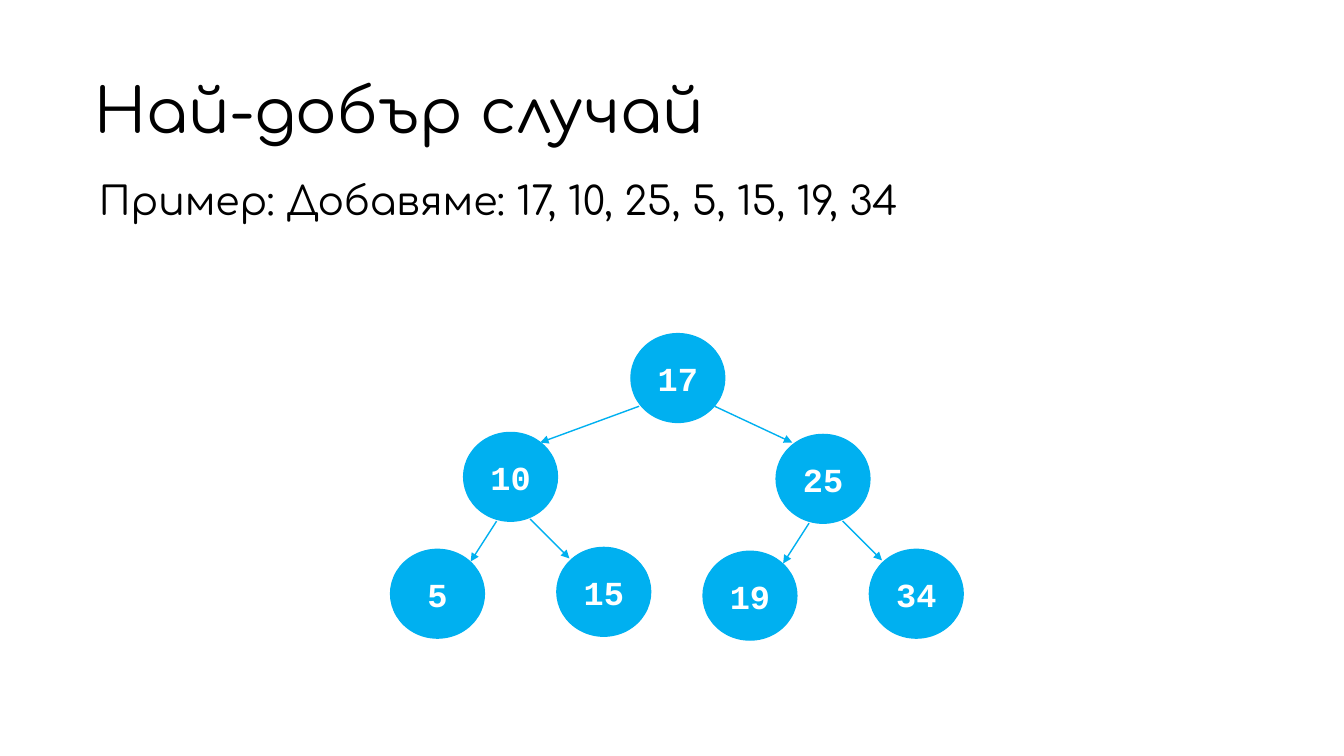
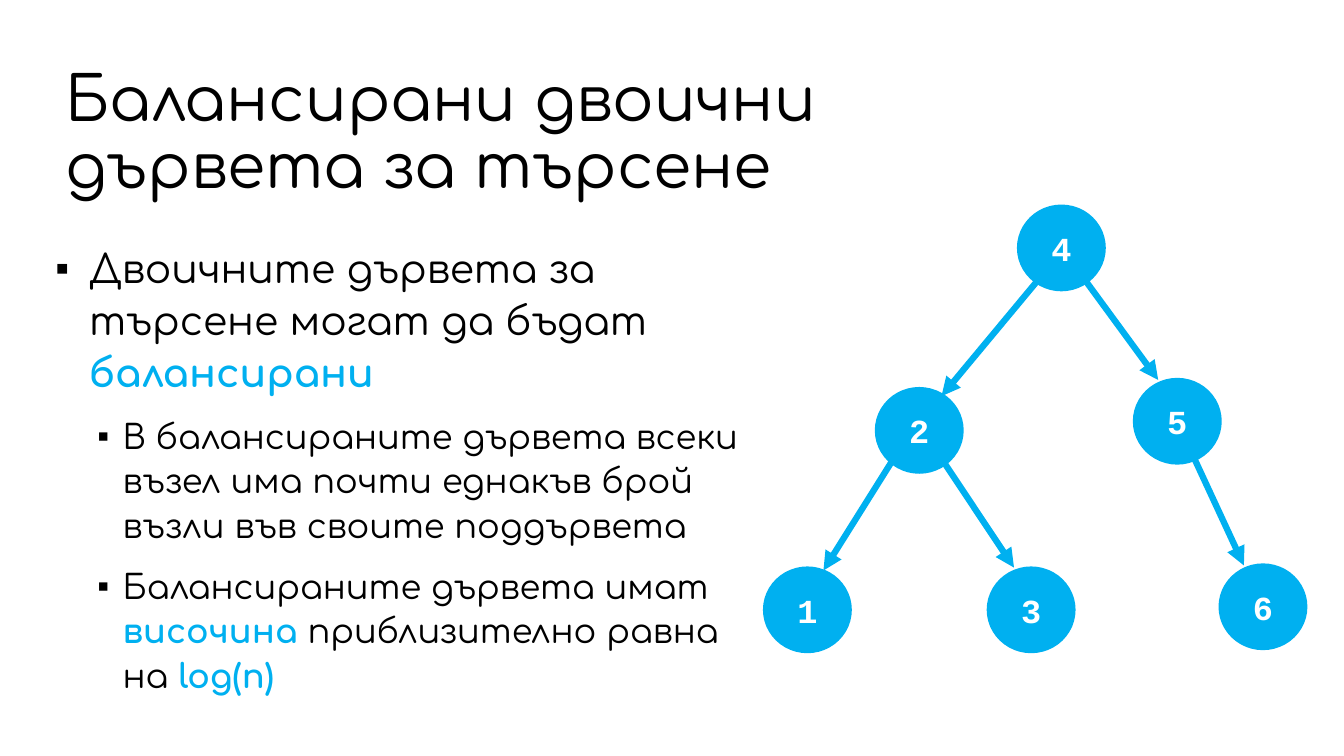
"""Build two slides on binary search trees."""
from lxml.etree import SubElement
from pptx import Presentation
from pptx.dml.color import RGBColor
from pptx.enum.shapes import MSO_CONNECTOR, MSO_SHAPE
from pptx.enum.text import MSO_ANCHOR, PP_ALIGN
from pptx.oxml.ns import qn
from pptx.util import Pt

BLUE, BLACK, WHITE = "00B0F0", "000000", "FFFFFF"
SANS, MONO = "Comfortaa", "Courier New"
HEAD = dict(name=SANS, size=Pt(44), bold=False)
BODY = dict(name=SANS, size=Pt(28), bold=False)
SUB = dict(BODY, size=Pt(24))
NODE = dict(name=MONO, size=Pt(24), bold=True)
TEXT_PAD = dict(margin_left=Pt(8.64), margin_right=Pt(8.64),
                margin_top=Pt(2.88), margin_bottom=Pt(2.88), word_wrap=True)
NODE_PAD = dict(margin_left=Pt(7.2), margin_right=Pt(7.2),
                margin_top=Pt(3.6), margin_bottom=Pt(3.6), word_wrap=True,
                vertical_anchor=MSO_ANCHOR.MIDDLE)

CASE = dict(
    title="Най-добър случай", place=(59, 37.5, 790.5, 87),
    body=(62, 121, 785, 67.5), lead=1.05,
    paras=[(None, BODY, [("Пример: Добавяме: 17, 10, 25, 5, 15, 19, 34", False)])])
BALANCE = dict(
    title="Балансирани двоични дървета за търсене", place=(38, 6.5, 705.5, 180),
    body=(31, 168.5, 512, 331), lead=1.1,
    paras=[
        ((0, 24, 24), BODY, [("Двоичните дървета за търсене могат да бъдат ", False),
                             ("балансирани", True)]),
        ((1, 48, 18), SUB, [("В балансираните дървета всеки възел има почти "
                             "еднакъв брой възли във своите поддървета", False)]),
        ((1, 48, 18), SUB, [("Балансираните дървета имат ", False), ("височина", True),
                            (" приблизително равна на ", False), ("log(n)", True)])])

ROOT = ("17", 450.7, 238.3)
ROOT_LINKS = [(456.5, 290.2, 385.9, 316.1), (510.5, 290.2, 565.9, 316.1)]
FAMILIES = [(331.2, 308.9, ("10", "5", "15")), (554.4, 310.3, ("25", "19", "34"))]
KIN = [(0, 0), (-52.2, 83.5), (66.6, 82.1)]
KIN_LINKS = [(23.5, 63.4, 5, 92.2), (47.5, 61.9, 75.6, 90)]

NODES = [("4", 727.9, 147.6), ("2", 626.4, 277.9), ("5", 810.7, 271.4),
         ("1", 546.5, 406.1), ("3", 706.3, 406.1), ("6", 871.9, 403.9)]
LINKS = [(740.2, 201.6, 672.5, 283), (776.2, 201.6, 827.3, 271.4),
         (636.5, 330.5, 588.2, 407.5), (675.4, 331.9, 724.3, 405.4),
         (852.5, 326.2, 888.5, 403.9)]


def points(vals):
    """Turn numbers into point lengths."""
    return [Pt(val) for val in vals]


def paint(fmt, tint):
    """Give a fill a solid colour."""
    fmt.solid()
    fmt.fore_color.rgb = RGBColor.from_string(tint)


def apply(obj, vals):
    """Set attributes from a dict."""
    for key, val in vals.items():
        setattr(obj, key, val)


def write(para, text, style, tint):
    """Add one styled run."""
    run = para.add_run()
    run.text = text
    apply(run.font, style)
    paint(run.font.fill, tint)


def mark(para, level, left, hang):
    """Give a paragraph a hanging square bullet."""
    para.level = level
    props = para._p.get_or_add_pPr()
    props.set("marL", str(Pt(left)))
    props.set("indent", str(-Pt(hang)))
    SubElement(props, qn("a:buFont")).set("typeface", "Arial")
    SubElement(props, qn("a:buChar")).set("char", "▪")


def add_text(slide, place, paras, lead, anchor):
    """Add a text box of styled paragraphs."""
    frame = slide.shapes.add_textbox(*points(place)).text_frame
    apply(frame, dict(TEXT_PAD, vertical_anchor=anchor))
    for num, (bullet, style, runs) in enumerate(paras):
        para = frame.add_paragraph() if num else frame.paragraphs[0]
        apply(para, dict(line_spacing=lead, space_before=Pt(12 if num else 0)))
        if bullet:
            mark(para, *bullet)
        for text, key in runs:
            write(para, text, dict(style, bold=key), BLUE if key else BLACK)


def add_node(slide, text, left, top, size, width):
    """Add a round tree node."""
    node = slide.shapes.add_shape(MSO_SHAPE.OVAL, *points((left, top, *size)))
    node.shadow.inherit = False
    paint(node.fill, BLUE)
    paint(node.line.fill, BLUE)
    node.line.width = Pt(width)
    apply(node.text_frame, NODE_PAD)
    para = node.text_frame.paragraphs[0]
    para.alignment = PP_ALIGN.CENTER
    write(para, text, NODE, WHITE)


def add_link(slide, ends, width):
    """Add an arrow between two nodes."""
    link = slide.shapes.add_connector(MSO_CONNECTOR.STRAIGHT, *points(ends))
    paint(link.line.fill, BLUE)
    link.line.width = Pt(width)
    SubElement(link.line._get_or_add_ln(), qn("a:tailEnd")).set("type", "triangle")
    SubElement(link._element.spPr, qn("a:effectLst"))


def add_tree(slide, nodes, links, size, edge, width):
    """Draw all links and nodes of a tree."""
    for ends in links:
        add_link(slide, ends, width)
    for node in nodes:
        add_node(slide, *node, size, edge)


def add_page(deck, page):
    """Add a slide with its title and body."""
    slide = deck.slides.add_slide(deck.slide_layouts[6])
    title = [(None, HEAD, [(page["title"], False)])]
    add_text(slide, page["body"], page["paras"], page["lead"], MSO_ANCHOR.TOP)
    add_text(slide, page["place"], title, 0.9, MSO_ANCHOR.MIDDLE)
    return slide


def grow():
    """Work out the tree made of two like families."""
    nodes, links = [ROOT], list(ROOT_LINKS)
    for left, top, names in FAMILIES:
        nodes += [(name, left + dx, top + dy) for name, (dx, dy) in zip(names, KIN)]
        links += [(left + ax, top + ay, left + bx, top + by)
                  for ax, ay, bx, by in KIN_LINKS]
    return nodes, links


def main():
    """Build and save the deck."""
    deck = Presentation()
    apply(deck, dict(slide_width=Pt(960), slide_height=Pt(540)))
    add_tree(add_page(deck, CASE), *grow(), (67, 63.4), 1, 1)
    add_tree(add_page(deck, BALANCE), NODES, LINKS, (60.5, 59), 3, 4.5)
    deck.save("out.pptx")


if __name__ == "__main__":
    main()
